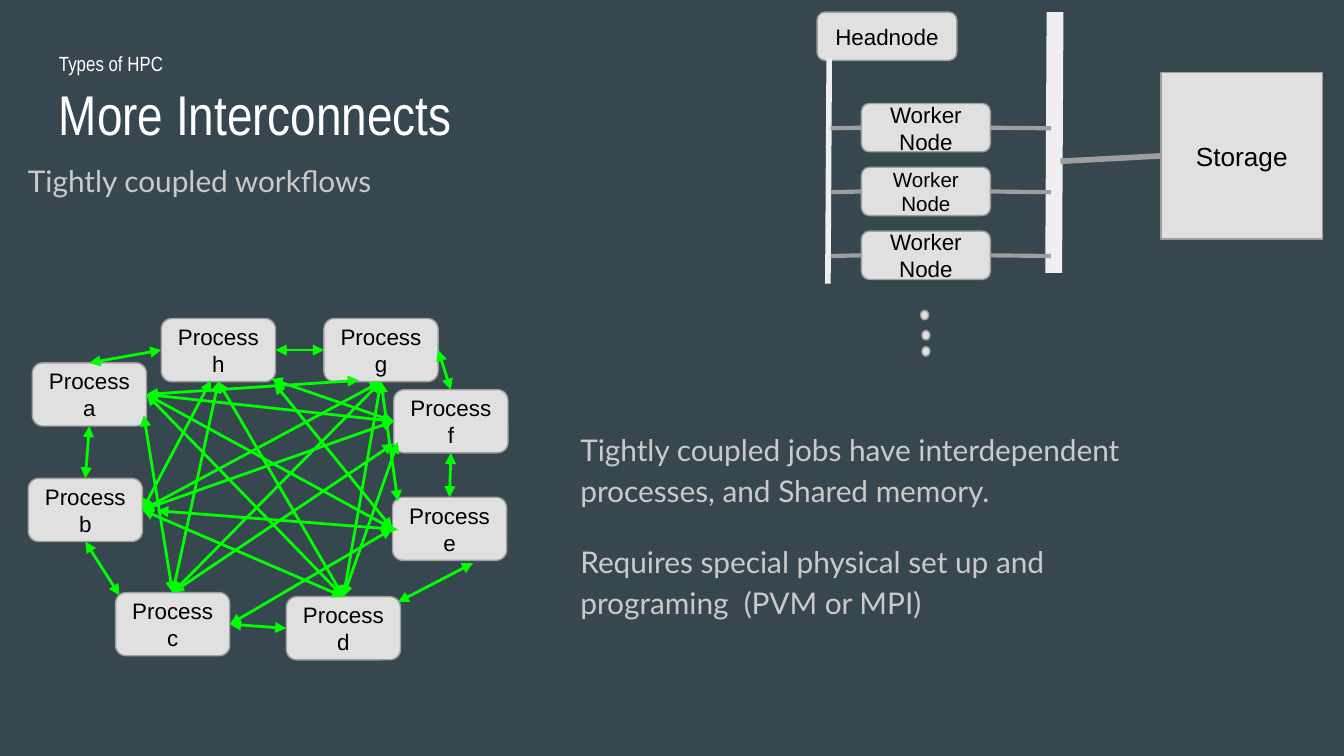
from typing import NamedTuple, Union

from lxml.etree import SubElement
from pptx import Presentation
from pptx.dml.color import RGBColor
from pptx.enum.shapes import MSO_CONNECTOR, MSO_SHAPE as Shape
from pptx.enum.text import MSO_ANCHOR as Anchor, PP_ALIGN as Align
from pptx.oxml.ns import qn
from pptx.util import Inches, Pt

# Grid: 100 columns by 56.25 rows of square cells
COLS, ROWS = 100, 56.25
CELL = Inches(10) // COLS
TOP, LEFT, BOTTOM, RIGHT = range(4)

BACKGROUND, BOX, EDGE = "37474F", "E0E0E0", "9E9E9E"
BUS, LINK, BODY = "EFEFEF", "00FF00", "CACACA"
WHITE, BLACK = "FFFFFF", "000000"


class Box(NamedTuple):
    col: float
    row: float
    cols: float
    rows: float
    text: str = ""
    size: int = 12
    kind: Shape = Shape.ROUNDED_RECTANGLE


class Label(NamedTuple):
    col: float
    row: float
    cols: float
    rows: float
    lines: tuple
    size: int
    font: str
    color: str
    anchor: Anchor = Anchor.TOP
    inset: float = 1
    spacing: float = 1.0


class Point(NamedTuple):
    col: float
    row: float


class Side(NamedTuple):
    box: object
    site: int


End = Union[Point, Side]


def cells(n: float) -> int:
    return round(n * CELL)


def rgb(color: str) -> RGBColor:
    return RGBColor.from_string(color)


def draw_box(slide, b: Box):
    sp = slide.shapes.add_shape(b.kind, *map(cells, b[:4]))
    sp.shadow.inherit = False
    sp.fill.solid()
    sp.fill.fore_color.rgb = rgb(BOX)
    sp.line.color.rgb = rgb(EDGE)
    sp.line.width = Pt(0.75)
    if b.text:
        tf = sp.text_frame
        tf.word_wrap = True
        tf.vertical_anchor = Anchor.MIDDLE
        tf.margin_left = tf.margin_right = tf.margin_top = tf.margin_bottom = cells(1)
        p = tf.paragraphs[0]
        p.text, p.alignment = b.text, Align.CENTER
        p.font.size, p.font.name = Pt(b.size), "Arial"
        p.font.color.rgb = rgb(BLACK)
    return sp


def draw_label(slide, t: Label) -> None:
    tf = slide.shapes.add_textbox(*map(cells, t[:4])).text_frame
    tf.word_wrap = True
    tf.vertical_anchor = t.anchor
    tf.margin_left = tf.margin_right = tf.margin_bottom = cells(1)
    tf.margin_top = cells(t.inset)
    for i, line in enumerate(t.lines):
        p = tf.add_paragraph() if i else tf.paragraphs[0]
        p.text, p.line_spacing = line, t.spacing
        p.space_before = Pt(16 if i else 0)
        p.font.size, p.font.name = Pt(t.size), t.font
        p.font.color.rgb = rgb(t.color)


def draw_line(slide, start: End, end: End, color: str, width: float,
              arrows: bool = False) -> None:
    xy = [cells(n) for e in (start, end)
          for n in (e if isinstance(e, Point) else (0, 0))]
    cxn = slide.shapes.add_connector(MSO_CONNECTOR.STRAIGHT, *xy)
    for e, connect in ((start, cxn.begin_connect), (end, cxn.end_connect)):
        if isinstance(e, Side):
            connect(e.box, e.site)
    cxn.line.color.rgb = rgb(color)
    cxn.line.width = Pt(width)
    if arrows:
        ln = cxn.line._get_or_add_ln()
        for tag in ("a:headEnd", "a:tailEnd"):
            SubElement(ln, qn(tag)).set("type", "triangle")
    SubElement(cxn._element.spPr, qn("a:effectLst"))


LABELS = [
    Label(3.4, 4.9, 93.2, 6.3, ("More Interconnects",), 30, "Arial Narrow", WHITE),
    Label(3.4, 2.9, 93.2, 3.3, ("Types of HPC",), 11, "Arial Narrow", WHITE),
    Label(1.1, 11.1, 33.3, 4.2, ("Tightly coupled workflows",), 16, "Lato", BODY,
          Anchor.MIDDLE, spacing=1.15),
    Label(42.2, 29.6, 42.6, 21.8, (
        "Tightly coupled jobs have interdependent processes, and Shared memory.",
        "Requires special physical set up and programing  (PVM or MPI)",
    ), 16, "Lato", BODY, inset=2.1, spacing=1.15),
]

# Top left corner of each process
PROCESSES = {"a": (2.4, 27), "h": (12, 23.7), "c": (8.6, 44.1), "f": (29.3, 29),
             "g": (24.1, 23.7), "b": (2.1, 35.6), "d": (21.3, 44.4), "e": (29.2, 37)}

# Each end is a process with its side, or a free point
LINKS = [
    (("h", LEFT), ("a", TOP)), (("b", TOP), ("a", BOTTOM)),
    (("g", LEFT), ("h", RIGHT)), (("f", LEFT), ("a", RIGHT)),
    (("f", TOP), ("g", RIGHT)), (("e", TOP), ("f", BOTTOM)),
    (("g", BOTTOM), ("c", TOP)), (("g", BOTTOM), ("b", RIGHT)),
    (("h", BOTTOM), ("c", TOP)), (Point(15.7, 28.3), ("b", RIGHT)),
    (("h", BOTTOM), ("d", TOP)), (Point(26.7, 28.3), ("a", RIGHT)),
    (Point(29.6, 37.3), ("g", BOTTOM)), (Point(29.3, 33), ("c", TOP)),
    (Point(29.6, 32.9), ("d", TOP)), (("f", LEFT), Point(20.2, 28.2)),
    (("f", LEFT), ("b", RIGHT)), (Point(29.6, 39.4), Point(11.7, 38)),
    (("a", RIGHT), ("d", TOP)), (("e", LEFT), ("c", RIGHT)),
    (Point(35.2, 41.9), Point(29.6, 44.8)), (("e", LEFT), ("a", RIGHT)),
    (("e", LEFT), Point(20.4, 28.5)), (("d", LEFT), ("c", RIGHT)),
    (("g", BOTTOM), ("d", TOP)), (("d", TOP), ("b", RIGHT)),
    (Point(8.9, 44.3), ("b", BOTTOM)), (Point(10.7, 30.9), ("c", TOP)),
]


def draw_cluster(slide) -> None:
    draw_box(slide, Box(60.8, 0.9, 10.4, 3.6, "Headnode"))
    workers = [draw_box(slide, Box(64.1, 7.7 + 4.75 * i, 9.6, 3.6, "Worker Node", size))
               for i, size in enumerate((12, 11, 12))]
    for col, row in ((68.5, 23.1), (68.6, 24.6), (68.6, 25.8)):
        draw_box(slide, Box(col, row, 0.6, 0.7, kind=Shape.OVAL))
    storage = draw_box(slide, Box(86.4, 5.4, 12, 12.4, "Storage", 14, Shape.RECTANGLE))

    # Network and storage buses, with a link from each worker to both
    draw_line(slide, Point(61.7, 4.3), Point(61.6, 21.1), BUS, 3)
    draw_line(slide, Point(78.5, 0.9), Point(78.4, 20.3), BUS, 9)
    for i, worker in enumerate(workers):
        row = 9.55 + 4.75 * i
        draw_line(slide, Side(worker, LEFT), Point(61.8, row), EDGE, 2.25)
        draw_line(slide, Point(78.2, row), Side(worker, RIGHT), EDGE, 2.25)
    draw_line(slide, Side(storage, LEFT), Point(78.9, 12), EDGE, 3)


def draw_processes(slide) -> None:
    boxes = {name: draw_box(slide, Box(*corner, 8.5, 4.7, f"Process {name}"))
             for name, corner in PROCESSES.items()}
    for link in LINKS:
        start, end = (e if isinstance(e, Point) else Side(boxes[e[0]], e[1])
                      for e in link)
        draw_line(slide, start, end, LINK, 1.5, arrows=True)


def main() -> None:
    prs = Presentation()
    prs.slide_width, prs.slide_height = cells(COLS), cells(ROWS)
    s = prs.slides.add_slide(prs.slide_layouts[6])
    s.background.fill.solid()
    s.background.fill.fore_color.rgb = rgb(BACKGROUND)
    for label in LABELS:
        draw_label(s, label)
    draw_cluster(s)
    draw_processes(s)
    prs.save("out.pptx")


if __name__ == "__main__":
    main()
